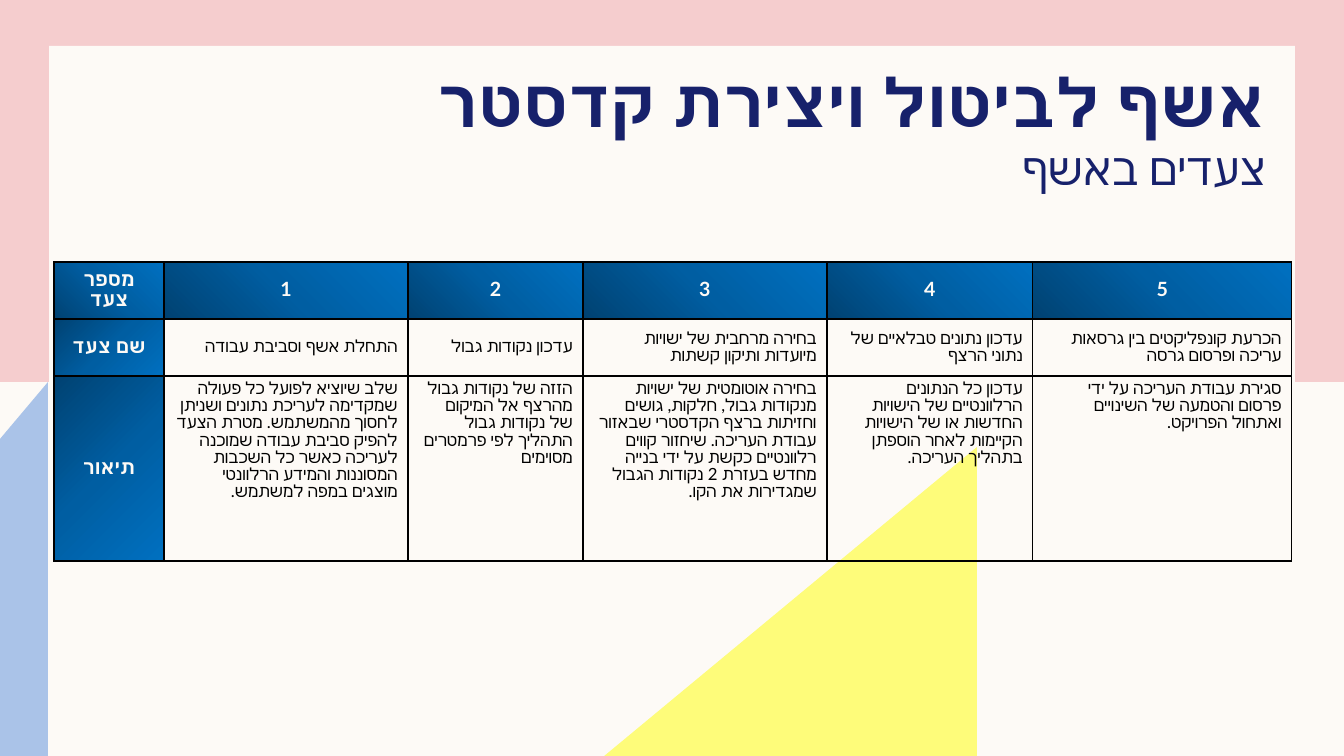
from lxml.etree import SubElement
from pptx import Presentation
from pptx.dml.color import RGBColor
from pptx.enum.shapes import MSO_SHAPE
from pptx.enum.text import MSO_ANCHOR, PP_ALIGN
from pptx.oxml.ns import qn
from pptx.util import Emu, Pt

CREAM = RGBColor(0xFD, 0xFA, 0xF6)
PINK = RGBColor(0xF5, 0xCD, 0xCE)
YELLOW = RGBColor(0xFF, 0xFF, 0x00)
SKY = RGBColor(0xAA, 0xC3, 0xE8)
NAVY = RGBColor(0x17, 0x21, 0x6B)
BLACK = RGBColor(0, 0, 0)
DEEP = RGBColor(0x00, 0x42, 0x72)
MID = RGBColor(0x00, 0x5E, 0xA2)
BRIGHT = RGBColor(0x00, 0x70, 0xC0)

COLS = [110, 244, 175, 244, 206, 259]
ROWS = [57, 57, 185]
STEPS = [
    ["מספר צעד", "1", "2", "3", "4", "5"],
    ["שם צעד",
     "התחלת אשף וסביבת עבודה",
     "עדכון נקודות גבול",
     "בחירה מרחבית של ישויות מיועדות ותיקון קשתות",
     "עדכון נתונים טבלאיים של נתוני הרצף",
     "הכרעת קונפליקטים בין גרסאות עריכה ופרסום גרסה"],
    ["תיאור",
     "שלב שיוציא לפועל כל פעולה שמקדימה לעריכת נתונים ושניתן לחסוך מהמשתמש. "
     "מטרת הצעד להפיק סביבת עבודה שמוכנה לעריכה כאשר כל השכבות המסוננות "
     "והמידע הרלוונטי מוצגים במפה למשתמש.",
     "הזזה של נקודות גבול מהרצף אל המיקום של נקודות גבול התהליך "
     "לפי פרמטרים מסוימים",
     "בחירה אוטומטית של ישויות מנקודות גבול, חלקות, גושים וחזיתות ברצף "
     "הקדסטרי שבאזור עבודת העריכה. שיחזור קווים רלוונטיים כקשת על ידי בנייה "
     "מחדש בעזרת 2 נקודות הגבול שמגדירות את הקו.",
     "עדכון כל הנתונים הרלוונטיים של הישויות החדשות או של הישויות הקיימות "
     "לאחר הוספתן בתהליך העריכה.",
     "סגירת עבודת העריכה על ידי פרסום והטמעה של השינויים ואתחול הפרויקט."],
]


def px(n):
    return Emu(round(n * 914400 / 100.8))


def add(parent, tag, **attrs):
    return SubElement(parent, qn(tag), {k: str(v) for k, v in attrs.items()})


def write(para, text, size=12, color=BLACK, bold=False,
          align=PP_ALIGN.RIGHT, lines=None, after=None):
    """Fill a right-to-left paragraph with one run."""
    para.alignment = align
    para.line_spacing = lines
    para.space_after = after
    para._p.get_or_add_pPr().set("rtl", "1")
    run = para.add_run()
    run.text = text
    font = run.font
    font.size, font.bold, font.name = Pt(size), bold, Deck.face
    font.color.rgb = color
    add(run._r.get_or_add_rPr(), "a:cs", typeface=Deck.face)


class Deck:
    face = "Lato"

    def __init__(self):
        self.prs = Presentation()
        self.prs.slide_width, self.prs.slide_height = px(1344), px(756)
        self.slide = self.prs.slides.add_slide(self.prs.slide_layouts[6])
        self.slide.background.fill.solid()
        self.slide.background.fill.fore_color.rgb = CREAM
        self.shapes = self.slide.shapes

    def paint(self, shape, color, alpha=None):
        shape.shadow.inherit = False
        shape.line.fill.background()
        shape.fill.solid()
        shape.fill.fore_color.rgb = color
        if alpha:
            tint = shape._element.spPr.find(qn("a:solidFill"))[0]
            add(tint, "a:alpha", val=alpha * 1000)

    def rect(self, x, y, w, h, color):
        box = self.shapes.add_shape(MSO_SHAPE.RECTANGLE, px(x), px(y), px(w), px(h))
        self.paint(box, color)

    def shard(self, points, color, alpha=None):
        first, *rest = [(px(x), px(y)) for x, y in points]
        path = self.shapes.build_freeform(*first)
        path.add_line_segments(rest, close=True)
        self.paint(path.convert_to_shape(), color, alpha)

    def title(self, x, y, w, h, head, sub):
        frame = self.shapes.add_textbox(px(x), px(y), px(w), px(h)).text_frame
        frame.word_wrap = True
        frame.vertical_anchor = MSO_ANCHOR.MIDDLE
        frame.margin_top = frame.margin_bottom = 0
        write(frame.paragraphs[0], head, size=48, color=NAVY, bold=True)
        write(frame.add_paragraph(), sub, size=32, color=NAVY)

    def border(self, cell):
        props = cell._tc.get_or_add_tcPr()
        for side in ("a:lnL", "a:lnR", "a:lnT", "a:lnB"):
            edge = add(props, side, w=Pt(1))
            add(add(edge, "a:solidFill"), "a:srgbClr", val=BLACK)

    def glow(self, cell, low):
        """Radial blue fill, darkest at the bottom left if low, else top left."""
        grad = add(cell._tc.get_or_add_tcPr(), "a:gradFill", rotWithShape=1)
        stops = add(grad, "a:gsLst")
        for pos, color in ((0, DEEP), (50, MID), (100, BRIGHT)):
            add(add(stops, "a:gs", pos=pos * 1000), "a:srgbClr", val=color)
        top, base = (100000, 0) if low else (0, 100000)
        path = add(grad, "a:path", path="circle")
        add(path, "a:fillToRect", l=0, t=top, r=100000, b=base)

    def cell(self, cell, text, row, col):
        label = row == 0 or col == 0
        story = row == 2 and not label
        cell.vertical_anchor = MSO_ANCHOR.TOP if story else MSO_ANCHOR.MIDDLE
        self.border(cell)
        para = cell.text_frame.paragraphs[0]
        if label:
            self.glow(cell, low=row == 0)
            write(para, text, size=14, color=CREAM, bold=True,
                  align=PP_ALIGN.CENTER, lines=0.85)
            return
        if story:
            cell.fill.background()
        else:
            cell.fill.solid()
            cell.fill.fore_color.rgb = CREAM
        write(para, text, lines=0.85, after=Pt(10) if story else None)

    def table(self, x, y, cols, rows, data):
        grid = self.shapes.add_table(len(rows), len(cols), px(x), px(y),
                                     px(sum(cols)), px(sum(rows))).table
        grid.first_row = grid.horz_banding = False
        for col, width in zip(grid.columns, cols):
            col.width = px(width)
        for row, height in zip(grid.rows, rows):
            row.height = px(height)
        for r, texts in enumerate(data):
            for c, text in enumerate(texts):
                self.cell(grid.cell(r, c), text, r, c)


def main():
    deck = Deck()
    deck.rect(-3, 0, 1347, 382, PINK)
    deck.rect(49, 46, 1246, 664, CREAM)
    deck.shard([(603, 757), (977, 447), (977, 757)], YELLOW, alpha=50)
    deck.shard([(48, 382), (48, 756), (0, 756), (0, 439)], SKY)
    deck.table(54, 262, COLS, ROWS, STEPS)
    deck.title(409, 68, 867, 119, "אשף לביטול ויצירת קדסטר", "צעדים באשף")
    deck.prs.save("out.pptx")


if __name__ == "__main__":
    main()
